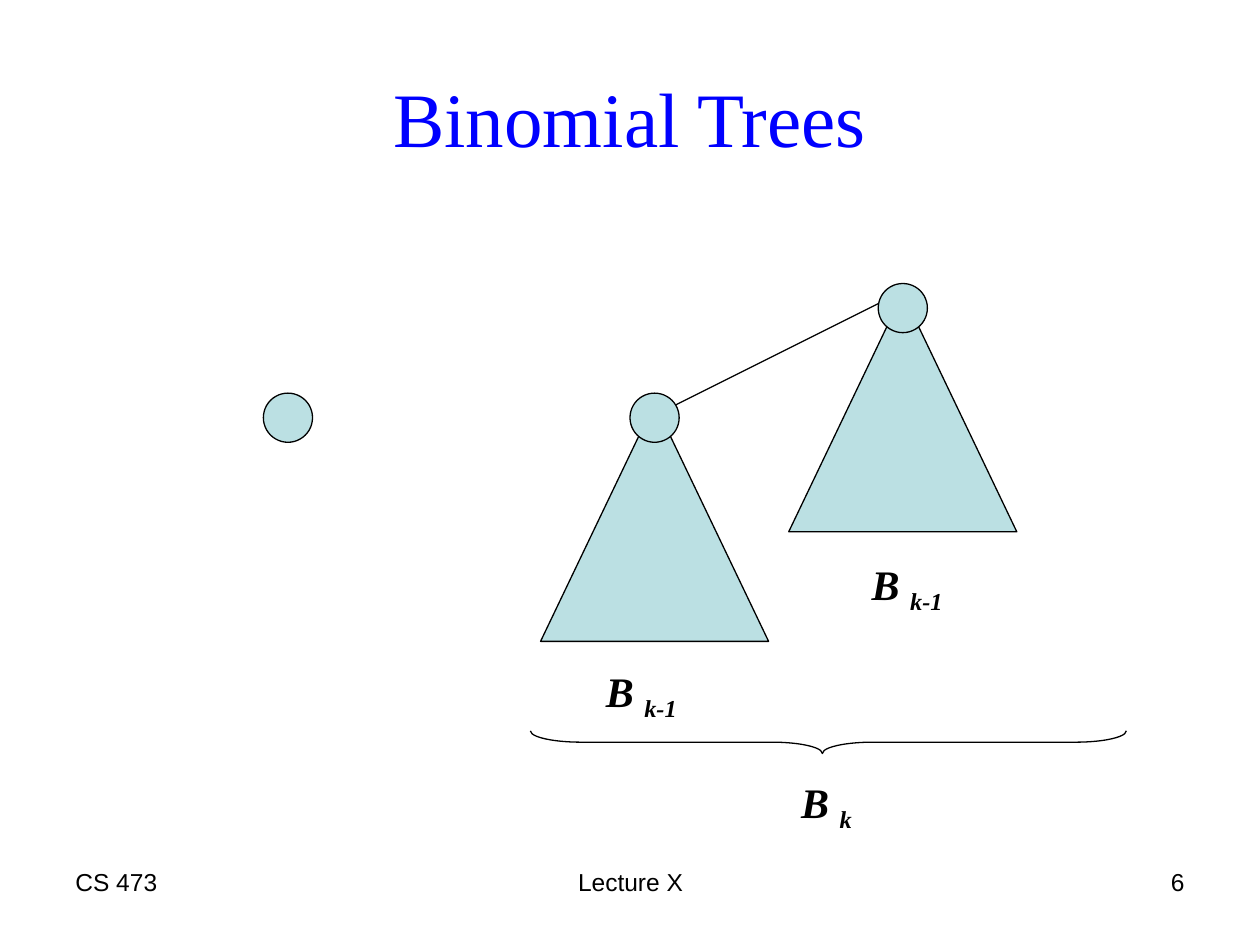
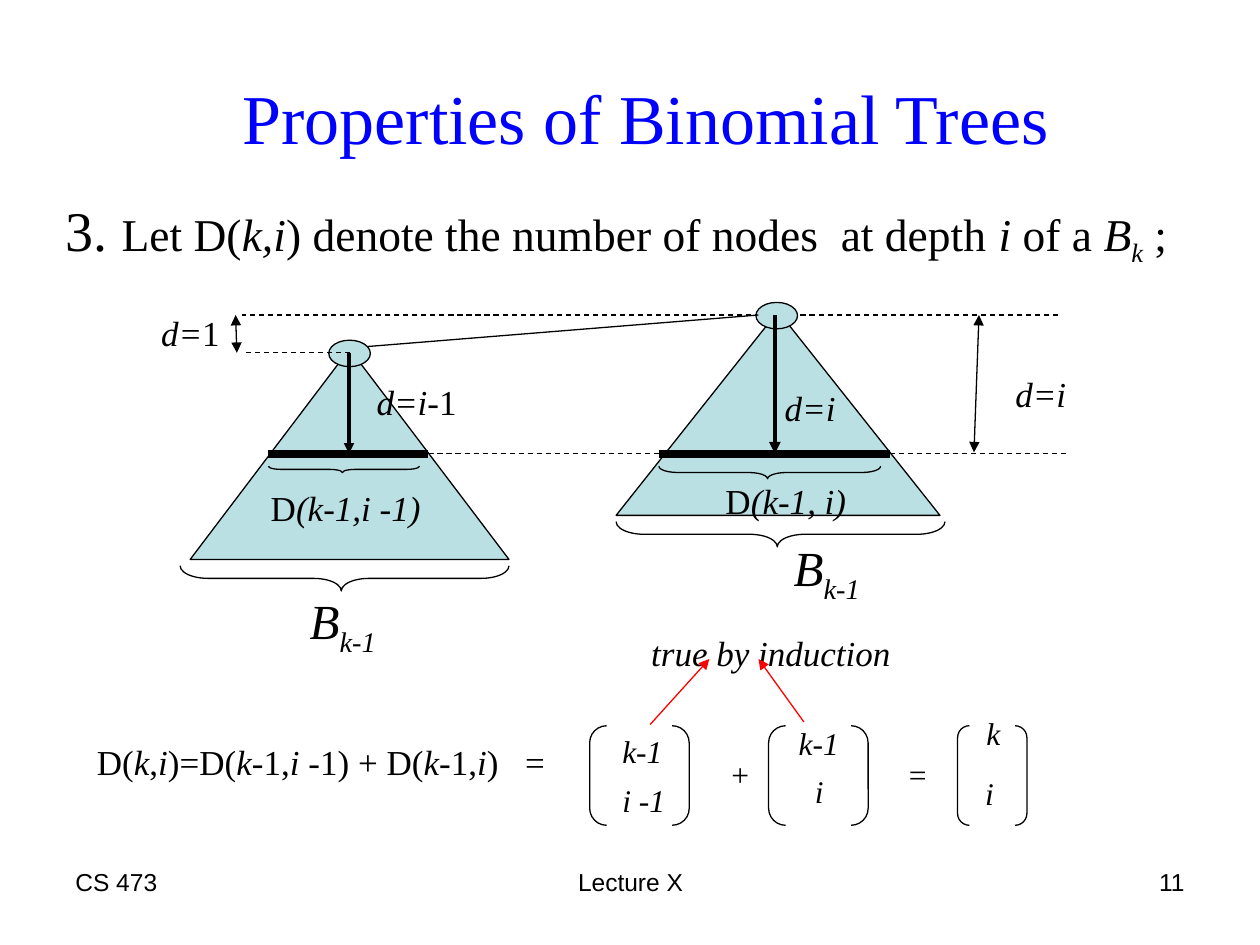
from lxml import etree
from pptx import Presentation
from pptx.dml.color import RGBColor
from pptx.enum.dml import MSO_LINE
from pptx.enum.shapes import MSO_CONNECTOR, MSO_SHAPE
from pptx.enum.text import MSO_ANCHOR, MSO_AUTO_SIZE, PP_ALIGN
from pptx.oxml.ns import qn
from pptx.util import Inches, Pt

TRIANGLE, OVAL = MSO_SHAPE.ISOSCELES_TRIANGLE, MSO_SHAPE.OVAL
BRACE, BRACKETS = MSO_SHAPE.LEFT_BRACE, MSO_SHAPE.DOUBLE_BRACKET
STRAIGHT, DASH = MSO_CONNECTOR.STRAIGHT, MSO_LINE.DASH
LEFT, CENTER, RIGHT = PP_ALIGN.LEFT, PP_ALIGN.CENTER, PP_ALIGN.RIGHT
MIDDLE, TOP, NO_FIT = MSO_ANCHOR.MIDDLE, MSO_ANCHOR.TOP, MSO_AUTO_SIZE.NONE
TITLE_ONLY, TITLE_AND_BODY = 5, 1

COLORS = {"ink": "000000", "title": "0000FF", "node": "BBE0E3", "proof": "FF0000"}
SERIF, SANS = "Times New Roman", "Arial"
THIN, MEDIUM, THICK = 0.75, 2.25, 4.5


def rgb(name):
    return RGBColor.from_string(COLORS[name])


def format_run(r, size, font=SERIF, color="ink", style=""):
    r.font.name = font
    r.font.size = Pt(size)
    r.font.color.rgb = rgb(color)
    r.font.bold = "b" in style
    r.font.italic = "i" in style
    if "_" in style:
        r._r.get_or_add_rPr().set("baseline", "-25000")


def add_runs(p, runs, size):
    for text, style in runs:
        r = p.add_run()
        r.text = text
        format_run(r, size, style=style)


def place(sp, left, top, width, height):
    sp.left, sp.top = Inches(left), Inches(top)
    sp.width, sp.height = Inches(width), Inches(height)


def add_title(s, text, size, width):
    sp = s.shapes.title
    place(sp, 0.5, 0.3, width, 1.25)
    tf = sp.text_frame
    tf.text = text
    tf.auto_size = NO_FIT
    tf.vertical_anchor = MIDDLE
    p = tf.paragraphs[0]
    p.alignment = CENTER
    format_run(p.runs[0], size, color="title")


def add_statement(s, runs):
    sp = s.placeholders[1]
    place(sp, 0.42, 1.5, 9, 4.95)
    tf = sp.text_frame
    tf.auto_size = NO_FIT
    tf.vertical_anchor = TOP
    p = tf.paragraphs[0]
    p.space_before = Pt(6.5)
    pPr = p._p.get_or_add_pPr()
    pPr.set("marL", str(Inches(0.38)))
    pPr.set("indent", str(-Inches(0.38)))
    etree.SubElement(pPr, qn("a:buNone"))
    add_runs(p, runs, 26)
    p.runs[0].font.size = Pt(32)


def add_label(s, left, top, width, height, runs, size):
    tf = s.shapes.add_textbox(Inches(left), Inches(top), Inches(width), Inches(height)).text_frame
    tf.word_wrap = True
    tf.margin_right = 0
    p = tf.paragraphs[0]
    p.alignment = LEFT
    add_runs(p, runs, size)


def add_footer(s, number):
    parts = [("CS 473", 0.5, 2.33, LEFT), ("Lecture X", 3.42, 3.17, CENTER),
             (str(number), 7.17, 2.33, RIGHT)]
    for text, left, width, alignment in parts:
        tf = s.shapes.add_textbox(Inches(left), Inches(6.83), Inches(width), Inches(0.52)).text_frame
        tf.word_wrap = True
        tf.text = text
        p = tf.paragraphs[0]
        p.alignment = alignment
        format_run(p.runs[0], 14, SANS)


def add_outline(s, kind, left, top, width, height, fill=None):
    sp = s.shapes.add_shape(kind, Inches(left), Inches(top), Inches(width), Inches(height))
    sp.shadow.inherit = False
    sp.line.color.rgb = rgb("ink")
    sp.line.width = Pt(THIN)
    if fill:
        sp.fill.solid()
        sp.fill.fore_color.rgb = rgb(fill)
    else:
        sp.fill.background()
    return sp


def add_brace(s, left, top, length, depth, curve):
    sp = add_outline(s, BRACE, left + (length - depth) / 2, top + (depth - length) / 2,
                     depth, length)
    sp.rotation = 270
    sp.adjustments[0] = curve / depth
    sp.adjustments[1] = 0.49


def add_brackets(s, left, width):
    add_outline(s, BRACKETS, left, 5.76, width, 0.79).adjustments[0] = 0.171


def add_line(s, x1, y1, x2, y2, weight=THIN, color="ink", dashed=False, arrows=()):
    c = s.shapes.add_connector(STRAIGHT, Inches(x1), Inches(y1), Inches(x2), Inches(y2))
    c.line.color.rgb = rgb(color)
    c.line.width = Pt(weight)
    if dashed:
        c.line.dash_style = DASH
    ln = c._element.spPr.find(qn("a:ln"))
    for end in arrows:
        etree.SubElement(ln, qn(f"a:{end}End"), type="triangle")
    etree.SubElement(c._element.spPr, qn("a:effectLst"))


def build_recursion_slide(prs):
    s = prs.slides.add_slide(prs.slide_layouts[TITLE_ONLY])
    add_footer(s, 6)
    add_title(s, "Binomial Trees", 44, 9)
    for left, top in [(4.29, 3.2), (6.26, 2.33)]:
        add_outline(s, TRIANGLE, left, top, 1.81, 1.89, "node")
    add_line(s, 5.31, 3.24, 7.05, 2.37)
    for left, top in [(2.09, 3.12), (5, 3.12), (6.97, 2.25)]:
        add_outline(s, OVAL, left, top, 0.39, 0.39, "node")
    add_brace(s, 4.21, 5.8, 4.73, 0.18, 0.4)
    for left, top, order in [(4.71, 5.23, "k-1"), (6.82, 4.38, "k-1"), (6.26, 6.11, "k")]:
        add_label(s, left, top, 0.76, 0.56, [("B ", "bi"), (order, "bi_")], 24)


def add_depth_diagram(s):
    add_line(s, 8.4, 2.5, 1.92, 2.5, dashed=True)
    for left, top, width, height, root_left, root_top in [
            (1.51, 2.77, 2.53, 1.67, 2.61, 2.7), (4.89, 2.47, 2.57, 1.62, 6, 2.4)]:
        add_outline(s, TRIANGLE, left, top, width, height, "node")
        add_outline(s, OVAL, root_left, root_top, 0.33, 0.21, "node")
    add_line(s, 2.92, 2.75, 6.02, 2.5)
    add_line(s, 2.78, 2.8, 1.93, 2.8, dashed=True)
    for x1, x2 in [(2.13, 3.4), (5.23, 7.06)]:
        add_line(s, x1, 3.6, x2, 3.6, THICK)
    for x1, x2 in [(3.4, 5.23), (7.06, 8.47)]:
        add_line(s, x1, 3.6, x2, 3.6, dashed=True)
    add_line(s, 7.77, 2.5, 7.73, 3.59, arrows=("head", "tail"))
    add_line(s, 1.87, 2.5, 1.88, 2.8, arrows=("head", "tail"))
    add_line(s, 2.77, 2.8, 2.77, 3.6, MEDIUM)
    add_line(s, 2.77, 2.85, 2.77, 3.6, arrows=("tail",))
    add_line(s, 6.15, 2.5, 6.15, 3.6, MEDIUM, arrows=("tail",))
    for brace in [(1.43, 4.49, 2.61, 0.2, 0.22), (4.89, 4.14, 2.61, 0.2, 0.22),
                  (2.13, 3.7, 1.2, 0.05, 0.1), (5.23, 3.7, 1.76, 0.1, 0.15)]:
        add_brace(s, *brace)
    for left, top in [(2.36, 4.64), (6.2, 4.22)]:
        add_label(s, left, top, 0.85, 0.63, [("B", "i"), ("k-1", "i_")], 28)
    for left, top, width, runs in [
            (1.18, 2.42, 0.66, [("d=", "i"), ("1", "")]),
            (7.96, 2.91, 0.6, [("d=i", "i")]),
            (2.89, 2.97, 0.83, [("d=i-", "i"), ("1", "")]),
            (6.13, 3.02, 0.6, [("d=i", "i")]),
            (2.05, 3.81, 1.39, [("D", ""), ("(k-1,i -1)", "i")]),
            (5.66, 3.76, 1.16, [("D", ""), ("(k-1, i)", "i")])]:
        add_label(s, left, top, width, 0.44, runs, 20)


def add_recurrence(s):
    add_label(s, 5.07, 4.96, 2.1, 0.44, [("true by induction", "i")], 20)
    add_label(s, 0.67, 5.83, 3.45, 0.44,
              [("D(", ""), ("k", "i"), (",", ""), ("i", "i"), (")=D(", ""), ("k", "i"),
               ("-1,", ""), ("i ", "i"), ("-1) + D(", ""), ("k", "i"), ("-1,", ""),
               ("i", "i"), (")", "")], 20)
    add_label(s, 4.07, 5.83, 0.36, 0.44, [("=", "")], 20)
    for left, width in [(4.68, 0.79), (6.1, 0.79), (7.6, 0.55)]:
        add_brackets(s, left, width)
    for text, left, top, width in [
            ("k-1", 4.84, 5.76, 0.52), ("i -1", 4.84, 6.15, 0.55), ("+", 5.69, 5.94, 0.37),
            ("k-1", 6.24, 5.7, 0.52), ("i", 6.37, 6.08, 0.27), ("=", 7.1, 5.94, 0.37),
            ("k", 7.73, 5.62, 0.31), ("i", 7.72, 6.09, 0.27)]:
        add_label(s, left, top, width, 0.4, [(text, "i")], 18)
    for x1, y1, x2 in [(5.16, 5.75, 5.63), (6.38, 5.73, 6.02)]:
        add_line(s, x1, y1, x2, 5.23, color="proof", arrows=("tail",))


def build_properties_slide(prs):
    s = prs.slides.add_slide(prs.slide_layouts[TITLE_AND_BODY])
    add_footer(s, 11)
    add_title(s, "Properties of Binomial Trees", 40, 9.25)
    add_statement(s, [("3. ", ""), ("Let D(", ""), ("k,i", "i"),
                      (") denote the number of nodes  at depth ", ""), ("i ", "i"),
                      ("of a ", ""), ("B", "i"), ("k", "i_"), (" ;", "")])
    add_depth_diagram(s)
    add_recurrence(s)


def main():
    prs = Presentation()
    prs.slide_width, prs.slide_height = Inches(10), Inches(7.5)
    build_recursion_slide(prs)
    build_properties_slide(prs)
    prs.save("out.pptx")


if __name__ == "__main__":
    main()
